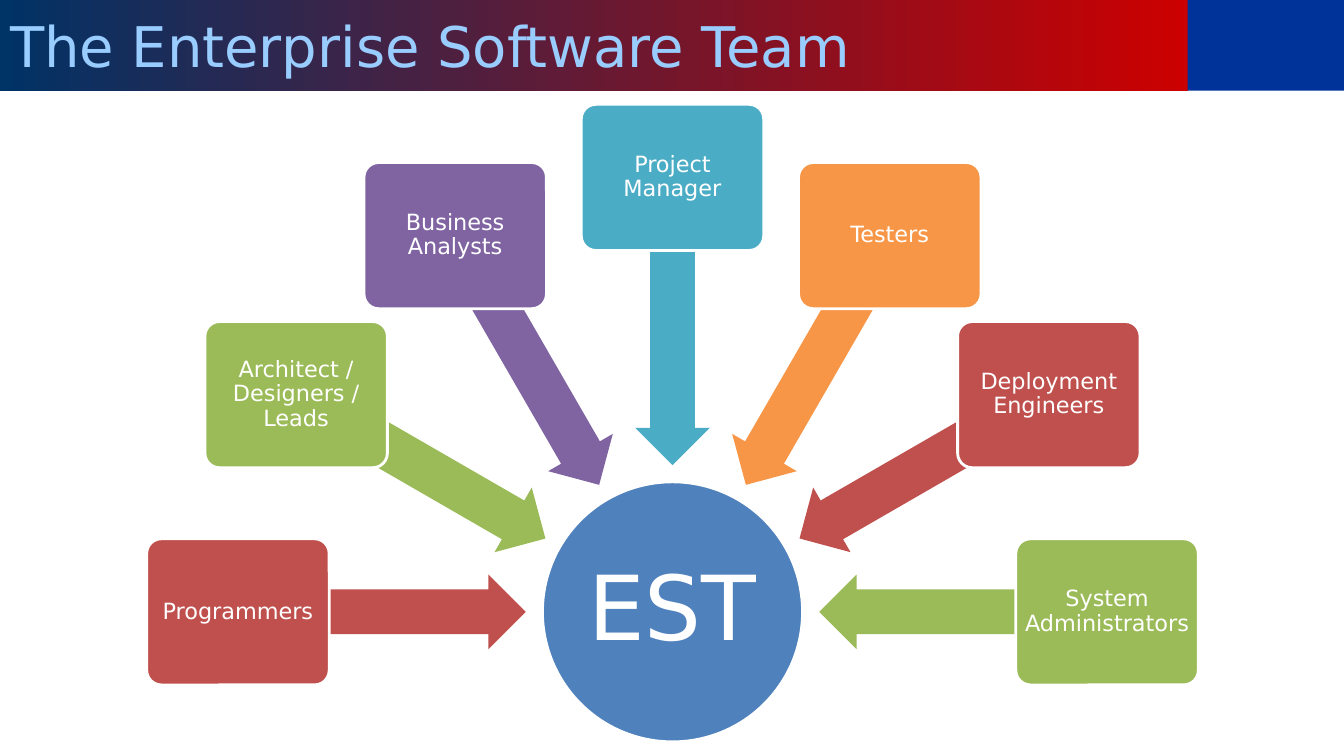
from math import cos, radians, sin

from pptx import Presentation
from pptx.dml.color import RGBColor
from pptx.enum.shapes import MSO_SHAPE as SHAPE
from pptx.enum.text import MSO_ANCHOR as ANCHOR, MSO_AUTO_SIZE as AUTO, PP_ALIGN as ALIGN
from pptx.util import Inches, Pt

FONT = "DejaVu Sans"
WHITE = RGBColor(0xFF, 0xFF, 0xFF)
NAVY = RGBColor(0x00, 0x33, 0x66)
CRIMSON = RGBColor(0xCC, 0x00, 0x00)
CORNER_BLUE = RGBColor(0x00, 0x33, 0x99)
SKY = RGBColor(0x99, 0xCC, 0xFF)
BLUE = RGBColor(0x4F, 0x81, 0xBD)
RED = RGBColor(0xC0, 0x50, 0x4D)
GREEN = RGBColor(0x9B, 0xBB, 0x59)
PURPLE = RGBColor(0x80, 0x64, 0xA2)
TEAL = RGBColor(0x4B, 0xAC, 0xC6)
ORANGE = RGBColor(0xF7, 0x96, 0x46)

# Content
TITLE = "The Enterprise Software Team"
HUB = "EST"
ROLES = [
    ("Programmers", RED),
    ("Architect / Designers / Leads", GREEN),
    ("Business Analysts", PURPLE),
    ("Project Manager", TEAL),
    ("Testers", ORANGE),
    ("Deployment Engineers", RED),
    ("System Administrators", GREEN),
]

# Layout in inches: roles fan out over a half circle around the hub
SLIDE_W, SLIDE_H = 13.33, 7.5
TITLE_W, TITLE_H = 11.78, 0.9
HUB_X, HUB_Y, HUB_D = 6.67, 6.07, 2.58
BOX_W, BOX_H, BOX_RADIUS = 1.81, 1.45, 4.31
ARROW_W, ARROW_H, ARROW_RADIUS = 2.85, 0.74, 2.88
STEP = 180 / (len(ROLES) - 1)


def write(sp, text, size, color=WHITE, align=ALIGN.CENTER, spacing=0.9, inset=0.03):
    tf = sp.text_frame
    tf.word_wrap = True
    tf.auto_size = AUTO.NONE
    tf.vertical_anchor = ANCHOR.MIDDLE
    tf.margin_left = tf.margin_right = Inches(inset)
    tf.margin_top = tf.margin_bottom = Inches(inset)
    p = tf.paragraphs[0]
    p.alignment = align
    p.line_spacing = spacing
    r = p.add_run()
    r.text = text
    r.font.name = FONT
    r.font.size = Pt(size)
    r.font.color.rgb = color


def add_centred(slide, kind, x, y, w, h, fill, outlined=False):
    sp = slide.shapes.add_shape(
        kind, Inches(x - w / 2), Inches(y - h / 2), Inches(w), Inches(h))
    sp.shadow.inherit = False
    sp.fill.solid()
    sp.fill.fore_color.rgb = fill
    if outlined:
        sp.line.color.rgb = WHITE
        sp.line.width = Pt(2)
    else:
        sp.line.fill.background()
    return sp


def from_hub(angle, radius):
    return (HUB_X + radius * cos(radians(angle)),
            HUB_Y + radius * sin(radians(angle)))


prs = Presentation()
prs.slide_width, prs.slide_height = Inches(SLIDE_W), Inches(SLIDE_H)
slide = prs.slides.add_slide(prs.slide_layouts[5])

# Title band and the blue corner beside it
title = slide.shapes.title
title.left, title.top = 0, 0
title.width, title.height = Inches(TITLE_W), Inches(TITLE_H)
title.fill.gradient()
title.fill.gradient_angle = 0
for stop, color in zip(title.fill.gradient_stops, (NAVY, CRIMSON)):
    stop.color.rgb = color
write(title, TITLE, 40, color=SKY, align=ALIGN.LEFT, spacing=1.0, inset=0.1)
corner_w = SLIDE_W - TITLE_W
add_centred(slide, SHAPE.RECTANGLE, TITLE_W + corner_w / 2, TITLE_H / 2,
            corner_w, TITLE_H, CORNER_BLUE)

# Hub
hub = add_centred(slide, SHAPE.OVAL, HUB_X, HUB_Y, HUB_D, HUB_D, BLUE, outlined=True)
write(hub, HUB, 64, inset=0.04)

# Roles, each with an arrow pointing at the hub
for i, (role, color) in enumerate(ROLES):
    angle = 180 + i * STEP
    arrow = add_centred(slide, SHAPE.LEFT_ARROW, *from_hub(angle, ARROW_RADIUS),
                        ARROW_W, ARROW_H, color)
    arrow.rotation = angle % 360
    arrow.adjustments[0], arrow.adjustments[1] = 0.6, 0.5
    box = add_centred(slide, SHAPE.ROUNDED_RECTANGLE, *from_hub(angle, BOX_RADIUS),
                      BOX_W, BOX_H, color, outlined=True)
    box.adjustments[0] = 0.1
    write(box, role, 16)

prs.save("out.pptx")
